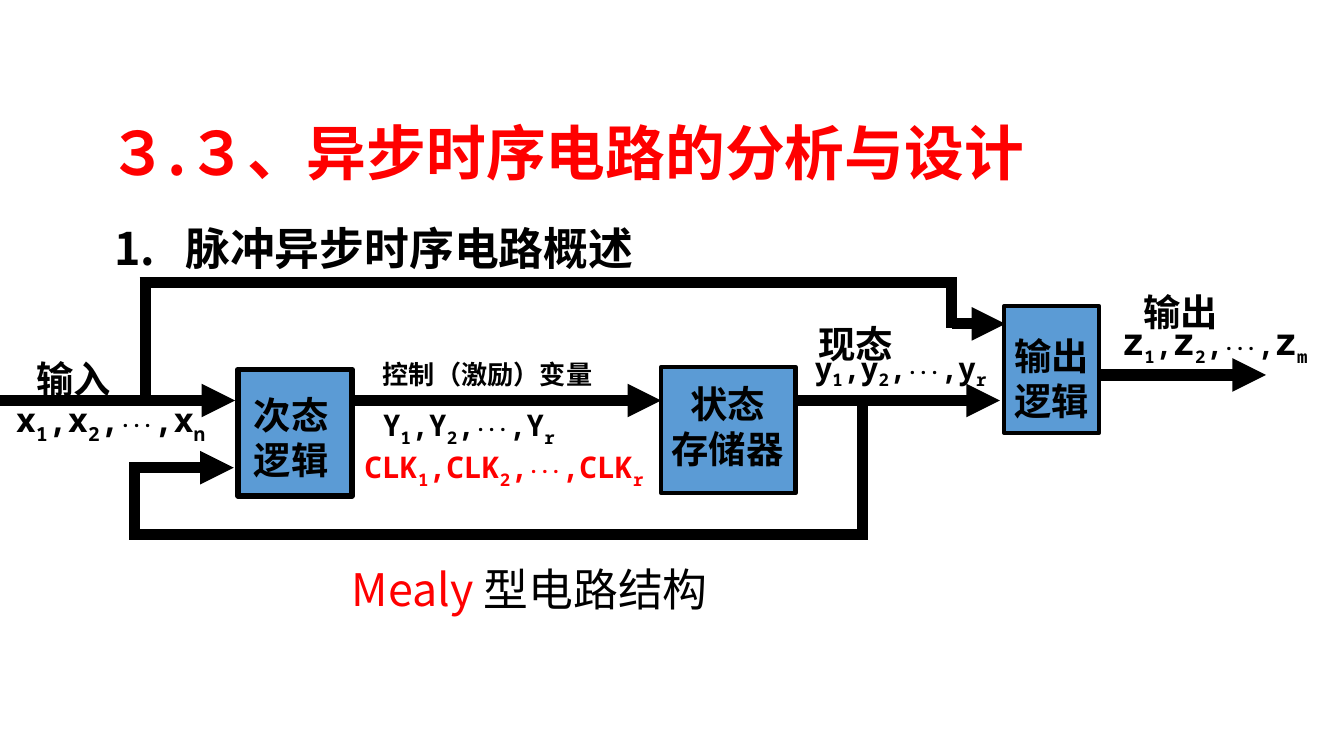
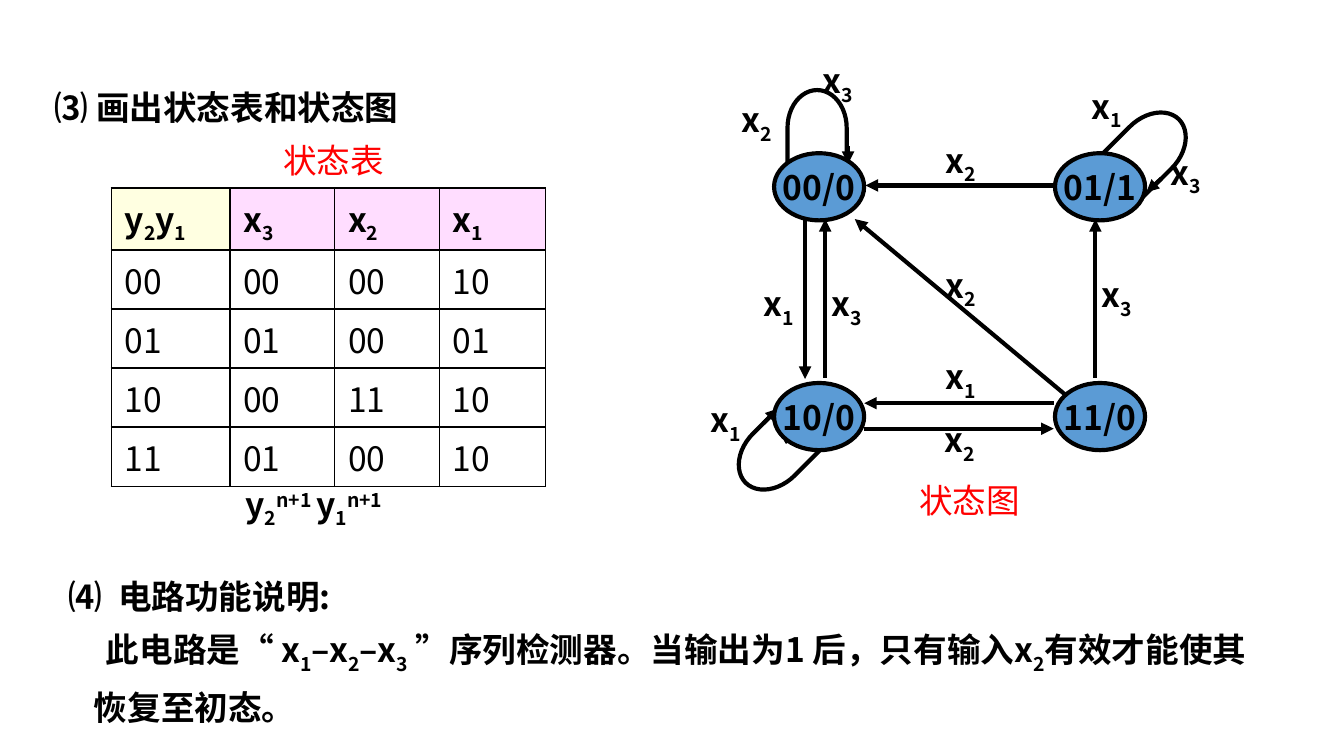
import pptx
import pptx.dml.color
import pptx.enum.shapes
import pptx.enum.text
import pptx.oxml
import pptx.oxml.ns
import pptx.util

Inches = pptx.util.Inches
Pt = pptx.util.Pt
SHAPE = pptx.enum.shapes.MSO_SHAPE
ALIGN = pptx.enum.text.PP_ALIGN
MIDDLE = pptx.enum.text.MSO_ANCHOR.MIDDLE

HEADING_FONT = "Noto Sans CJK JP"
STATE_FONT = "Noto Sans CJK SC"
SIGNAL_FONT = "Noto Sans Mono"
BLACK, RED, BLUE, WHITE = "000000", "FF0000", "5B9BD5", "FFFFFF"
YELLOW, PINK = "FFFFE1", "FFDDFF"
BASELINES = {"_": "-25000", "^": "30000"}


def rgb(hex_code):
    """Turn a hex string into a colour."""
    return pptx.dml.color.RGBColor.from_string(hex_code)


def add_xml(parent, tag, **attributes):
    """Append a DrawingML element to a parent and return it."""
    child = pptx.oxml.parse_xml(f"<a:{tag} {pptx.oxml.ns.nsdecls('a')}/>")
    for key, value in attributes.items():
        child.set(key, value)
    parent.append(child)
    return child


def write(paragraph, markup, size, font=HEADING_FONT, color=BLACK, bold=True, sizes=None):
    """Write runs split by bars, where _ lowers and ^ raises a run."""
    for piece in markup.split("|"):
        run = paragraph.add_run()
        run.text = piece[1:] if piece[0] in BASELINES else piece
        run.font.size = Pt((sizes or {"···": 10}).get(piece, size))
        run.font.name = font
        run.font.bold = bold
        run.font.color.rgb = rgb(color)
        properties = run.font._element
        add_xml(properties, "ea", typeface=font)
        if piece[0] in BASELINES:
            properties.set("baseline", BASELINES[piece[0]])


def add_text(slide, frame, markup, size, align=ALIGN.LEFT, **style):
    """Add a wrapped text box with one paragraph per line of markup."""
    text_frame = slide.shapes.add_textbox(*map(Inches, frame)).text_frame
    text_frame.word_wrap = True
    for index, line in enumerate(markup.split("\n")):
        paragraph = text_frame.add_paragraph() if index else text_frame.paragraphs[0]
        paragraph.alignment = align
        write(paragraph, line, size, **style)
    return text_frame


def indent(paragraph, margin, first_line):
    """Set the left margin and the first line indent of a paragraph."""
    properties = paragraph._p.get_or_add_pPr()
    properties.set("marL", str(Inches(margin)))
    properties.set("indent", str(Inches(first_line)))


def add_block(slide, kind, frame, weight, fill=BLUE, rotation=0):
    """Add an outlined shape, unfilled when fill is None."""
    block = slide.shapes.add_shape(kind, *map(Inches, frame))
    block.shadow.inherit = False
    block.rotation = rotation
    if fill:
        block.fill.solid()
        block.fill.fore_color.rgb = rgb(fill)
    else:
        block.fill.background()
    block.line.color.rgb = rgb(BLACK)
    block.line.width = Pt(weight)
    return block


def add_line(slide, ends, weight, arrow=True):
    """Add a straight black line, with an arrowhead at its end if wanted."""
    wire = slide.shapes.add_connector(
        pptx.enum.shapes.MSO_CONNECTOR.STRAIGHT, *map(Inches, ends))
    wire.line.color.rgb = rgb(BLACK)
    wire.line.width = Pt(weight)
    if arrow:
        add_xml(wire.line._get_or_add_ln(), "tailEnd", type="triangle")
    add_xml(wire._element.spPr, "effectLst")


def add_state(slide, left, top, name):
    """Add a state ellipse labelled with state and output."""
    state = add_block(slide, SHAPE.OVAL, (left, top, 0.67, 0.5), 2.25)
    state.text_frame.word_wrap = False
    state.text_frame.vertical_anchor = MIDDLE
    paragraph = state.text_frame.paragraphs[0]
    paragraph.alignment = ALIGN.CENTER
    write(paragraph, name, 18, STATE_FONT)


def border_cell(cell):
    """Draw thin black borders on all sides of a cell."""
    properties = cell._tc.get_or_add_tcPr()
    for position, side in enumerate(("lnL", "lnR", "lnT", "lnB")):
        border = add_xml(properties, side, w=str(Pt(1)))
        add_xml(add_xml(border, "solidFill"), "srgbClr", val=BLACK)
        properties.remove(border)
        properties.insert(position, border)


def add_state_table(slide):
    """Add the table of next states."""
    rows = [("y|_2|y|_1", "x|_3", "x|_2", "x|_1"),
            ("00", "00", "00", "10"),
            ("01", "01", "00", "01"),
            ("10", "00", "11", "10"),
            ("11", "01", "00", "10")]
    table = slide.shapes.add_table(
        5, 4, Inches(0.83), Inches(1.4), Inches(3.23), Inches(2.22)).table
    table.horz_banding = False
    for column, width in zip(table.columns, (0.88, 0.78, 0.78, 0.79)):
        column.width = Inches(width)
    for r, entries in enumerate(rows):
        table.rows[r].height = Inches(0.44 if r else 0.46)
        for c, entry in enumerate(entries):
            cell = table.cell(r, c)
            cell.vertical_anchor = MIDDLE
            cell.margin_top = cell.margin_bottom = Inches(0.04)
            cell.fill.solid()
            header = PINK if c else YELLOW
            cell.fill.fore_color.rgb = rgb(WHITE if r else header)
            write(cell.text_frame.paragraphs[0], entry, 18, STATE_FONT, bold=r == 0)
            border_cell(cell)


def build_mealy_slide(slide):
    """Build the block diagram of the Mealy circuit."""
    title = add_text(slide, (0.03, 0.82, 8.47, 0.62), "３.３、异步时序电路的分析与设计 ",
                     32, ALIGN.CENTER, color=RED)
    title.vertical_anchor = MIDDLE
    section = add_text(slide, (0.75, 1.47, 6.42, 0.56), "1.\t脉冲异步时序电路概述", 24)
    section.paragraphs[0].line_spacing = 1.3
    indent(section.paragraphs[0], 0.53, -0.53)
    caption = add_text(slide, (2.52, 4.13, 2.91, 0.38), "Mealy |型电路结构", 24,
                       ALIGN.JUSTIFY, bold=False)
    caption.paragraphs[0].runs[0].font.color.rgb = rgb(RED)

    for frame, weight in (((7.47, 2.28, 0.71, 0.94), 2.25),
                          ((4.92, 2.73, 1, 0.94), 2.25),
                          ((1.77, 2.75, 0.85, 0.94), 3)):
        add_block(slide, SHAPE.RECTANGLE, frame, weight)

    for ends in ((0, 2.98, 1.75, 2.98), (7.08, 2.41, 7.48, 2.41),
                 (2.62, 2.98, 4.92, 2.98), (5.94, 2.98, 7.44, 2.98),
                 (0.96, 3.48, 1.74, 3.48), (8.17, 2.79, 9.42, 2.79)):
        add_line(slide, ends, 6)
    for ends in ((1.08, 2.98, 1.08, 2.1), (1.04, 2.1, 7.12, 2.1),
                 (7.08, 2.13, 7.08, 2.44), (6.42, 2.98, 6.42, 3.98),
                 (0.96, 3.98, 6.46, 3.98), (1, 3.48, 1, 3.98)):
        add_line(slide, ends, 6, arrow=False)

    for frame, words, size, align in (
            ((0.17, 2.6, 0.92, 0.32), "输入", 20, ALIGN.JUSTIFY),
            ((2.75, 2.62, 1.9, 0.38), "控制（激励）变量", 14, ALIGN.JUSTIFY),
            ((8.41, 2.1, 1, 0.36), "输出", 20, ALIGN.JUSTIFY),
            ((5.99, 2.34, 0.84, 0.38), "现态", 20, ALIGN.JUSTIFY),
            ((7.45, 2.43, 0.94, 0.59), "输出\n逻辑", 20, ALIGN.JUSTIFY),
            ((4.85, 2.79, 1.13, 0.6), "状态\n存储器", 20, ALIGN.CENTER),
            ((1.79, 2.87, 0.88, 0.6), "次态\n逻辑", 20, ALIGN.JUSTIFY)):
        add_text(slide, frame, words, size, align)

    for frame, symbol, last, size, align, color in (
            ((0.02, 2.92, 1.64, 0.34), "x", "n", 18, ALIGN.LEFT, BLACK),
            ((2.5, 3.29, 2.5, 0.31), "CLK", "r", 16, ALIGN.CENTER, RED),
            ((5.56, 2.55, 2.28, 0.31), "y", "r", 16, ALIGN.CENTER, BLACK),
            ((2.75, 2.98, 1.81, 0.31), "Y", "r", 16, ALIGN.JUSTIFY, BLACK)):
        add_text(slide, frame, f"{symbol}|_1|,{symbol}|_2|,|···|,{symbol}|_{last}",
                 size, align, font=SIGNAL_FONT, color=color)
    add_text(slide, (8.25, 2.32, 1.95, 0.43), "z|_1|,|z|_2|,|···|,|z|_m", 16,
             ALIGN.JUSTIFY, font=SIGNAL_FONT, sizes={"z": 20, "···": 10})


def build_state_slide(slide):
    """Build the state table, the state diagram and the explanation."""
    heading = add_text(slide, (0.31, 0.63, 4.92, 0.5), "⑶ 画出状态表和状态图", 18)
    heading.paragraphs[0].line_spacing = 0.9
    explanation = add_text(
        slide, (0.41, 4.32, 9.32, 1.25),
        "⑷\t电路功能说明:\n此电路是“ x|_1|–x|_2|–x|_3| ”序列检测器。"
        "当输出为1 后，只有输入x|_2|有效才能使其恢复至初态。", 18)
    explanation.margin_right = Inches(0.3)
    for paragraph, spacing, margin, first_line in zip(
            explanation.paragraphs, (0.7, 1.3), (0.37, 0.19), (-0.37, 0.09)):
        paragraph.line_spacing = spacing
        indent(paragraph, margin, first_line)

    add_state_table(slide)
    add_text(slide, (1.73, 3.55, 1.7, 0.45), "y|_2|^n+1 |y|_1|^n+1", 18, font=STATE_FONT)
    add_text(slide, (2.01, 0.99, 1.25, 0.4), "状态表", 18, color=RED, bold=False)
    add_text(slide, (6.74, 3.52, 1.67, 0.4), "状态图", 18, color=RED, bold=False)

    for left, top, number in (
            (6.94, 0.99, 2), (6.94, 1.92, 2), (6.94, 2.6, 1), (6.93, 3.07, 2),
            (8.1, 1.99, 3), (5.58, 2.06, 1), (6.09, 2.06, 3), (5.42, 0.69, 2),
            (6.02, 0.4, 3), (8.02, 0.59, 1), (8.61, 1.08, 3), (5.19, 2.92, 1)):
        add_text(slide, (left, top, 0.75, 0.44), f"x|_{number}", 18, font=STATE_FONT)

    for frame, rotation in (((5.8, 0.73, 0.56, 0.44), 270),
                            ((5.46, 3.16, 0.6, 0.44), 135),
                            ((8.26, 0.88, 0.6, 0.44), 315)):
        add_block(slide, SHAPE.FLOWCHART_DELAY, frame, 2.25, None, rotation)
    for ends in ((8.15, 2.81, 8.15, 1.63), (7.93, 2.94, 6.36, 1.63),
                 (7.85, 1.38, 6.44, 1.38), (5.99, 1.64, 5.99, 2.82),
                 (7.84, 3, 6.43, 3), (6.43, 3.19, 7.84, 3.19),
                 (6.14, 2.81, 6.14, 1.63), (6.31, 1.09, 6.31, 1.22),
                 (5.84, 3.29, 6.06, 3.16), (5.68, 3.15, 5.79, 3.04),
                 (8.64, 1.33, 8.53, 1.43)):
        add_line(slide, ends, 2.25)
    for top, names in ((1.14, ("00/0", "01/1")), (2.85, ("10/0", "11/0"))):
        for left, name in zip((5.76, 7.85), names):
            add_state(slide, left, top, name)


def main():
    """Create both slides and save the presentation."""
    presentation = pptx.Presentation()
    presentation.slide_width = Inches(10)
    presentation.slide_height = presentation.slide_width * 9 // 16
    blank = presentation.slide_layouts[6]
    for build in (build_mealy_slide, build_state_slide):
        build(presentation.slides.add_slide(blank))
    presentation.save("out.pptx")


if __name__ == "__main__":
    main()
